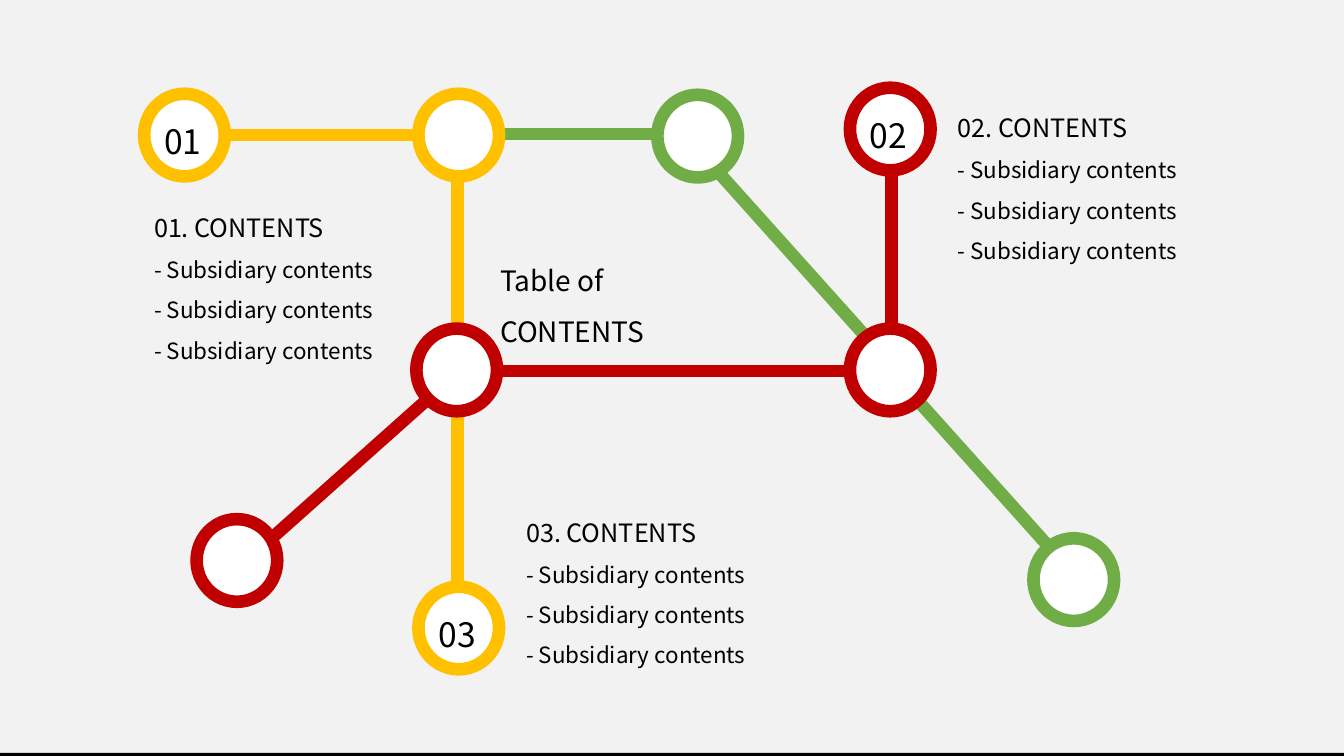
from dataclasses import dataclass

from lxml.etree import SubElement
from pptx import Presentation
from pptx.dml.color import RGBColor
from pptx.enum.shapes import MSO_CONNECTOR, MSO_SHAPE
from pptx.enum.text import MSO_ANCHOR, MSO_AUTO_SIZE, PP_ALIGN
from pptx.oxml.ns import qn
from pptx.util import Inches, Pt


@dataclass(frozen=True)
class Theme:
    """Colours, font and sizes shared by the whole slide."""
    paper: RGBColor = RGBColor(0xF2, 0xF2, 0xF2)
    ink: RGBColor = RGBColor(0, 0, 0)
    white: RGBColor = RGBColor(0xFF, 0xFF, 0xFF)
    red: RGBColor = RGBColor(0xC0, 0, 0)
    yellow: RGBColor = RGBColor(0xFF, 0xC0, 0)
    green: RGBColor = RGBColor(0x70, 0xAD, 0x47)
    font: str = "Noto Sans CJK KR"
    number: int = 24
    title: int = 20
    heading: int = 18
    item: int = 16
    track: int = 9


THEME = Theme()
STATION_WIDTH, STATION_HEIGHT = 0.8, 0.82

TRACKS = [
    (4.42, 1.33, 7.15, 1.33, THEME.green),
    (8.83, 3.67, 10.65, 5.7, THEME.green),
    (1.88, 1.34, 4.61, 1.34, THEME.yellow),
    (4.54, 1.2, 4.54, 6.16, THEME.yellow),
    (4.55, 3.68, 8.79, 3.68, THEME.red),
    (2.47, 5.54, 4.5, 3.73, THEME.red),
    (8.84, 1.23, 8.84, 3.77, THEME.red),
    (7.01, 1.58, 8.83, 3.61, THEME.green),
]
STATIONS = [
    (1.43, 0.93, THEME.yellow, "01"),
    (4.15, 0.93, THEME.yellow, ""),
    (6.52, 0.94, THEME.green, ""),
    (8.43, 0.87, THEME.red, "02"),
    (4.13, 3.26, THEME.red, ""),
    (8.43, 3.26, THEME.red, ""),
    (1.95, 5.15, THEME.red, ""),
    (4.15, 5.82, THEME.yellow, "03"),
    (10.25, 5.34, THEME.green, ""),
]
SECTIONS = [(1.43, 1.91, "01"), (9.4, 0.92, "02"), (5.12, 4.93, "03")]


def write_lines(frame, lines, sizes, spacing=1.0):
    """Fill a text frame with left-aligned lines, one size for each."""
    frame.word_wrap = True
    frame.auto_size = MSO_AUTO_SIZE.NONE
    frame.vertical_anchor = MSO_ANCHOR.TOP
    frame.text = "\n".join(lines)
    for paragraph, size in zip(frame.paragraphs, sizes):
        paragraph.alignment = PP_ALIGN.LEFT
        paragraph.line_spacing = spacing
        paragraph.space_before = Pt(0)
        for run in paragraph.runs:
            run.font.name = THEME.font
            run.font.size = Pt(size)
            run.font.color.rgb = THEME.ink


def add_track(slide, x1, y1, x2, y2, colour):
    """Draw one thick line between two points."""
    track = slide.shapes.add_connector(
        MSO_CONNECTOR.STRAIGHT, Inches(x1), Inches(y1), Inches(x2), Inches(y2))
    track.line.color.rgb = colour
    track.line.width = Pt(THEME.track)
    SubElement(track._element.spPr, qn("a:effectLst"))


def add_station(slide, left, top, colour, number):
    """Draw a ring and, where it has one, its number."""
    ring = slide.shapes.add_shape(
        MSO_SHAPE.OVAL, Inches(left), Inches(top),
        Inches(STATION_WIDTH), Inches(STATION_HEIGHT))
    ring.shadow.inherit = False
    ring.fill.solid()
    ring.fill.fore_color.rgb = THEME.white
    ring.line.color.rgb = colour
    ring.line.width = Pt(THEME.track)
    if number:
        label = slide.shapes.add_textbox(
            Inches(left + 0.1), Inches(top + 0.22), Inches(0.62), Inches(0.5))
        write_lines(label.text_frame, [number], [THEME.number])


def add_section(slide, left, top, number):
    """Place a numbered heading with its three entries."""
    section = slide.shapes.add_textbox(
        Inches(left), Inches(top), Inches(2.77), Inches(1.77))
    write_lines(section.text_frame,
                [f"{number}. CONTENTS"] + ["- Subsidiary contents"] * 3,
                [THEME.heading] + [THEME.item] * 3, 1.5)


def place_title(slide, left, top, width, height):
    """Move the title into its box and format it."""
    title = slide.shapes.title
    title.left, title.top = Inches(left), Inches(top)
    title.width, title.height = Inches(width), Inches(height)
    write_lines(title.text_frame, ["Table of", "CONTENTS"],
                [THEME.title] * 2, 1.5)


def add_footer(slide, left, top, width, height):
    """Draw the thin black strip along the bottom edge."""
    strip = slide.shapes.add_shape(
        MSO_SHAPE.RECTANGLE, Inches(left), Inches(top), Inches(width), Inches(height))
    strip.shadow.inherit = False
    strip.fill.solid()
    strip.fill.fore_color.rgb = THEME.ink
    strip.line.fill.background()


def build_contents_slide(deck):
    """Lay out the contents map on a title-only slide."""
    slide = deck.slides.add_slide(deck.slide_layouts[5])
    slide.background.fill.solid()
    slide.background.fill.fore_color.rgb = THEME.paper
    add_footer(slide, 0, 7.47, 13.33, 0.03)
    for track in TRACKS:
        add_track(slide, *track)
    for station in STATIONS:
        add_station(slide, *station)
    place_title(slide, 4.86, 2.4, 1.86, 1.11)
    for section in SECTIONS:
        add_section(slide, *section)


def main():
    """Build and save the deck."""
    deck = Presentation()
    deck.slide_width, deck.slide_height = Inches(13.33), Inches(7.5)
    build_contents_slide(deck)
    deck.save("out.pptx")


if __name__ == "__main__":
    main()
